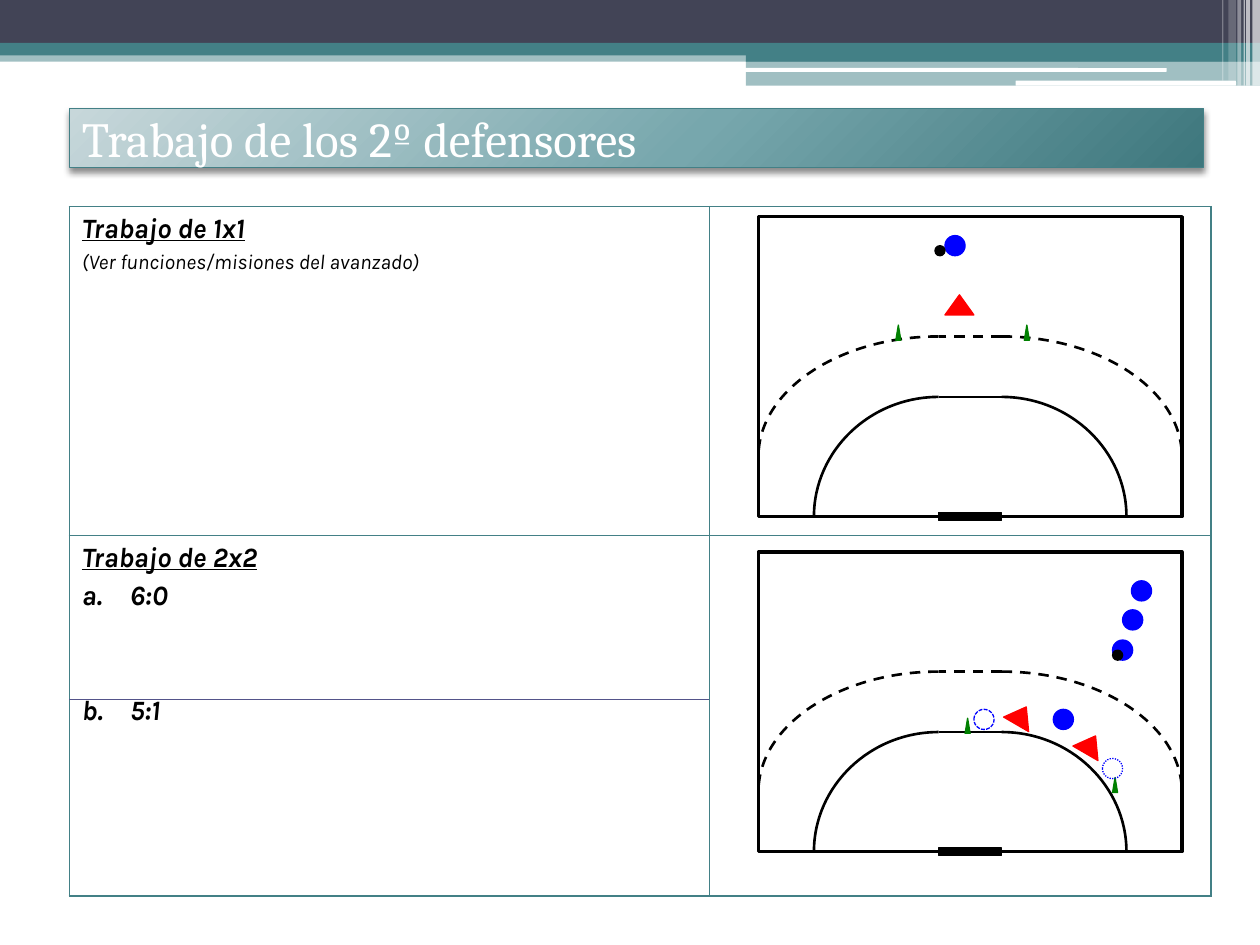
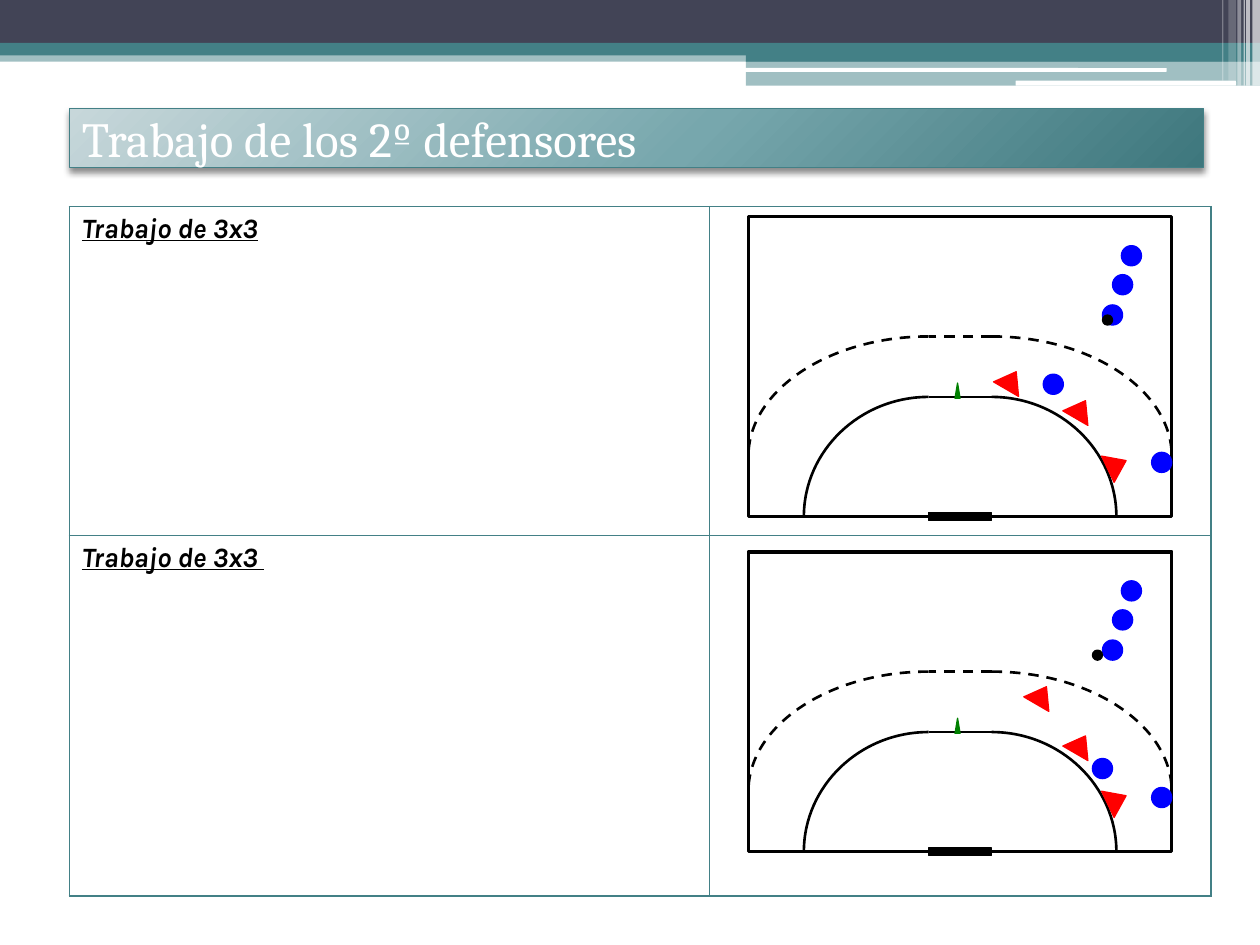
from dataclasses import dataclass

from lxml.etree import SubElement
from pptx import Presentation
from pptx.dml.color import RGBColor
from pptx.enum.dml import MSO_LINE
from pptx.enum.shapes import MSO_CONNECTOR, MSO_SHAPE
from pptx.enum.text import MSO_ANCHOR, MSO_AUTO_SIZE, PP_ALIGN
from pptx.oxml import parse_xml
from pptx.oxml.ns import nsdecls, qn
from pptx.util import Inches, Pt


@dataclass(frozen=True)
class Theme:
    """Colours, fonts and type sizes of the deck."""
    dark: str = "424456"
    teal: str = "438086"
    plum: str = "53548A"
    white: str = "FFFFFF"
    black: str = "000000"
    blue: str = "0000FF"
    red: str = "FF0000"
    green: str = "008000"
    fade: tuple = ((0, "C7D7DA"), (55, "77A7AD"), (100, "3E777D"))
    serif: str = "Cambria"
    sans: str = "Karla"
    title: int = 28
    head: int = 16
    note: int = 12


T = Theme()
QUEUE = [(2.81, 0.70), (2.89, 0.46), (2.96, 0.23)]
TURN, STEEP = 30.2, 64.6


def write(frame, words, first=False, size=T.head, font=T.sans, color=T.black,
          bold=False, slant=False, under=False, before=0, mark=None):
    """Add one formatted paragraph to a text frame."""
    para = frame.paragraphs[0] if first else frame.add_paragraph()
    para.alignment = PP_ALIGN.LEFT
    para.space_before = Pt(before)
    run = para.add_run()
    run.text = words
    face = run.font
    face.name, face.size = font, Pt(size)
    face.bold, face.italic, face.underline = bold, slant, under
    face.color.rgb = RGBColor.from_string(color)
    if mark:
        props = para._p.get_or_add_pPr()
        props.set("marL", str(Inches(0.38)))
        props.set("indent", str(Inches(-0.38)))
        SubElement(props, qn("a:buAutoNum")).set("type", mark)


def ink(line, color, width, dash=None):
    """Set colour, width and dash of a line."""
    line.color.rgb = RGBColor.from_string(color)
    line.width = Pt(width)
    if dash:
        line.dash_style = dash


def draw(shapes, kind, x, y, w, h, fill=None, line=None, width=0.75,
         dash=None, turn=0, alpha=100):
    """Add a flat preset shape."""
    shape = shapes.add_shape(kind, Inches(x), Inches(y), Inches(w), Inches(h))
    shape.shadow.inherit = False
    shape.rotation = turn
    if fill:
        shape.fill.solid()
        shape.fill.fore_color.rgb = RGBColor.from_string(fill)
        if alpha < 100:
            tint = shape.element.find(".//" + qn("a:srgbClr"))
            SubElement(tint, qn("a:alpha")).set("val", str(alpha * 1000))
    else:
        shape.fill.background()
    if line:
        ink(shape.line, line, width, dash)
    else:
        shape.line.fill.background()
    return shape


def rule(shapes, x, y, end, color, width, dash=None):
    """Add a level line from x to end."""
    line = shapes.add_connector(MSO_CONNECTOR.STRAIGHT, Inches(x), Inches(y),
                                Inches(end), Inches(y))
    ink(line.line, color, width, dash)
    SubElement(line.element.spPr, qn("a:effectLst"))


def curve(shapes, x, y, wide, high, dash=None):
    """Add a quarter arc from its top (x, y); negative wide bends left."""
    bend = 0.55
    pen = shapes.build_freeform(Inches(x), Inches(y))
    pen.add_line_segments([
        (Inches(x + wide * bend), Inches(y)),
        (Inches(x + wide), Inches(y + high * (1 - bend))),
        (Inches(x + wide), Inches(y + high))], close=False)
    arc = pen.convert_to_shape()
    legs = list(arc.element.iter(qn("a:lnTo")))
    cubic = SubElement(legs[0].getparent(), qn("a:cubicBezTo"))
    for leg in legs:
        cubic.append(leg[0])
        leg.getparent().remove(leg)
    arc.shadow.inherit = False
    arc.fill.background()
    ink(arc.line, T.black, 1.5, dash)


def bands(slide):
    """Draw the top bands once and hand them to the slide's layout."""
    layout = slide.slide_layout
    for spare in list(layout.placeholders)[1:]:
        layout.shapes.element.remove(spare.element)
    box, soft = MSO_SHAPE.RECTANGLE, MSO_SHAPE.ROUNDED_RECTANGLE
    parts = [
        (box, 0, 0.40, 10, 0.09, T.teal, 50),
        (box, 0, 0, 10, 0.34, T.dark, 100),
        (box, 0, 0.34, 10, 0.10, T.teal, 100),
        (box, 5.92, 0.39, 4.08, 0.10, T.teal, 100),
        (box, 5.92, 0.48, 4.08, 0.20, T.teal, 50),
        (soft, 5.91, 0.54, 3.35, 0.03, T.white, 100),
        (soft, 8.06, 0.64, 1.75, 0.04, T.white, 100)]
    stripes = [(9.94, 0.06, 0.68, 65), (9.89, 0.03, 0.68, 65),
               (9.87, 0.01, 0.68, 60), (9.82, 0.03, 0.68, 40),
               (9.75, 0.06, 0.64, 20), (9.70, 0.01, 0.64, 30)]
    parts += [(box, x, 0, w, h, T.white, a) for x, w, h, a in stripes]
    for kind, x, y, w, h, fill, alpha in parts:
        shape = draw(slide.shapes, kind, x, y, w, h, fill, alpha=alpha)
        layout.shapes.element.append(shape.element)


def banner(slide, words, x, y, w, h):
    """Place the title on its shaded plate."""
    title = slide.shapes.title
    title.left, title.top = Inches(x), Inches(y)
    title.width, title.height = Inches(w), Inches(h)
    stops = "".join(f'<a:gs pos="{pos * 1000}"><a:srgbClr val="{color}"/></a:gs>'
                    for pos, color in T.fade)
    props = title.element.spPr
    props.append(parse_xml(
        f'<a:gradFill {nsdecls("a")} rotWithShape="1"><a:gsLst>{stops}</a:gsLst>'
        '<a:path path="circle"><a:fillToRect l="-40000" t="-90000" '
        'r="140000" b="190000"/></a:path></a:gradFill>'))
    ink(title.line, T.teal, 0.75)
    props.append(parse_xml(
        f'<a:effectLst {nsdecls("a")}><a:outerShdw blurRad="{Pt(4)}" '
        f'dist="{Pt(2)}" dir="5400000" rotWithShape="0"><a:srgbClr '
        f'val="{T.black}"><a:alpha val="45000"/></a:srgbClr>'
        '</a:outerShdw></a:effectLst>'))
    frame = title.text_frame
    frame.auto_size, frame.word_wrap = MSO_AUTO_SIZE.NONE, True
    frame.vertical_anchor = MSO_ANCHOR.MIDDLE
    write(frame, words, first=True, size=T.title, font=T.serif, color=T.white)


def grid(slide, notes, x, y, cols, rows):
    """Place the table, with one list of (text, format) for each row."""
    plate = slide.shapes.add_table(len(rows), len(cols), Inches(x), Inches(y),
                                   Inches(sum(cols)), Inches(sum(rows)))
    table = plate.table
    table.first_row = table.horz_banding = False
    for col, width in zip(table.columns, cols):
        col.width = Inches(width)
    for row, height in zip(table.rows, rows):
        row.height = Inches(height)
    for cell in table.iter_cells():
        cell.fill.background()
    for props in plate.element.iter(qn("a:tcPr")):
        for i, side in enumerate("LRTB"):
            props.insert(i, parse_xml(
                f'<a:ln{side} {nsdecls("a")} w="{Pt(1)}"><a:solidFill>'
                f'<a:srgbClr val="{T.teal}"/></a:solidFill></a:ln{side}>'))
    for i, lines in enumerate(notes):
        for j, (words, form) in enumerate(lines):
            gap = 0.2 * form.get("size", T.head)
            style = dict(slant=True, before=gap) | form
            write(table.cell(i, 0).text_frame, words, first=j == 0, **style)


def court(slide, x, y, blue=(), red=(), cones=(), ball=None, ghosts=()):
    """Draw a handball court at (x, y); players are placed from its corner."""
    shapes = slide.shapes.add_group_shape().shapes
    w, h, goal = 3.36, 2.38, 0.5
    left, right = x + (w - goal) / 2, x + (w + goal) / 2
    draw(shapes, MSO_SHAPE.RECTANGLE, x, y, w, h, T.white, T.black, 2)
    for top, wide, dash in ((1.43, 0.99, None), (0.95, 1.43, MSO_LINE.DASH)):
        curve(shapes, right, y + top, wide, 0.95, dash)
        curve(shapes, left, y + top, -wide, 0.95, dash)
        rule(shapes, right, y + top, left, T.black, 1.5, dash)
    draw(shapes, MSO_SHAPE.RECTANGLE, left, y + h - 0.03, goal, 0.06,
         T.black, T.black)
    for dx, dy in cones:
        draw(shapes, MSO_SHAPE.ISOSCELES_TRIANGLE, x + dx, y + dy, 0.04, 0.12,
             T.green, T.green)
    for dx, dy, turn in red:
        draw(shapes, MSO_SHAPE.ISOSCELES_TRIANGLE, x + dx, y + dy, 0.23, 0.16,
             T.red, T.red, turn=turn)
    for dx, dy in blue:
        draw(shapes, MSO_SHAPE.OVAL, x + dx, y + dy, 0.16, 0.16, T.blue, T.blue)
    for dx, dy, dash in ghosts:
        draw(shapes, MSO_SHAPE.OVAL, x + dx, y + dy, 0.16, 0.16,
             line=T.blue, dash=dash)
    if ball:
        draw(shapes, MSO_SHAPE.OVAL, x + ball[0], y + ball[1], 0.08, 0.08,
             T.black, T.black)


def page(deck, notes, x, plays):
    """Build one slide: title, table and two courts with left edge x."""
    slide = deck.slides.add_slide(deck.slide_layouts[5])
    banner(slide, "Trabajo de los 2º defensores", 0.55, 0.86, 9, 0.47)
    grid(slide, notes, 0.55, 1.64, (5.08, 3.98), (2.61, 2.86))
    for y, play in zip((1.72, 4.38), plays):
        court(slide, x, y, **play)
    return slide


def main():
    """Build and save the deck."""
    deck = Presentation()
    deck.slide_width, deck.slide_height = Inches(10), Inches(7.5)
    head = dict(bold=True, under=True)
    item = dict(bold=True, mark="alphaLcPeriod")

    single = dict(blue=[(1.48, 0.15)], ball=(1.40, 0.23), red=[(1.48, 0.62, 0)],
                  cones=[(1.09, 0.86), (2.11, 0.86)])
    double = dict(blue=QUEUE + [(2.34, 1.25)], ball=(2.81, 0.78),
                  red=[(1.97, 1.22, TURN), (2.52, 1.45, TURN)],
                  cones=[(1.64, 1.32), (2.81, 1.79)],
                  ghosts=[(1.71, 1.25, MSO_LINE.SQUARE_DOT),
                          (2.73, 1.64, MSO_LINE.ROUND_DOT)])
    first = page(deck, [
        [("Trabajo de 1x1", head),
         ("(Ver funciones/misiones del avanzado)", dict(size=T.note))],
        [("Trabajo de 2x2", head), ("6:0", item),
         ("5:1", item | dict(before=47))],
    ], 6.02, [single, double])
    rule(first.shapes, 0.55, 5.55, 5.63, T.plum, 0.75)
    bands(first)

    wing, cone = (3.20, 1.87), [(1.64, 1.32)]
    pair = [(2.52, 1.45, TURN), (2.81, 1.89, STEEP)]
    page(deck, [[("Trabajo de 3x3", head)], [("Trabajo de 3x3 ", head)]], 5.94, [
        dict(blue=QUEUE + [(2.34, 1.25), wing], ball=(2.81, 0.78),
             red=[(1.97, 1.22, TURN)] + pair, cones=cone),
        dict(blue=QUEUE + [(2.73, 1.64), wing], ball=(2.73, 0.78),
             red=[(2.21, 1.06, TURN)] + pair, cones=cone)])
    deck.save("out.pptx")


main()
